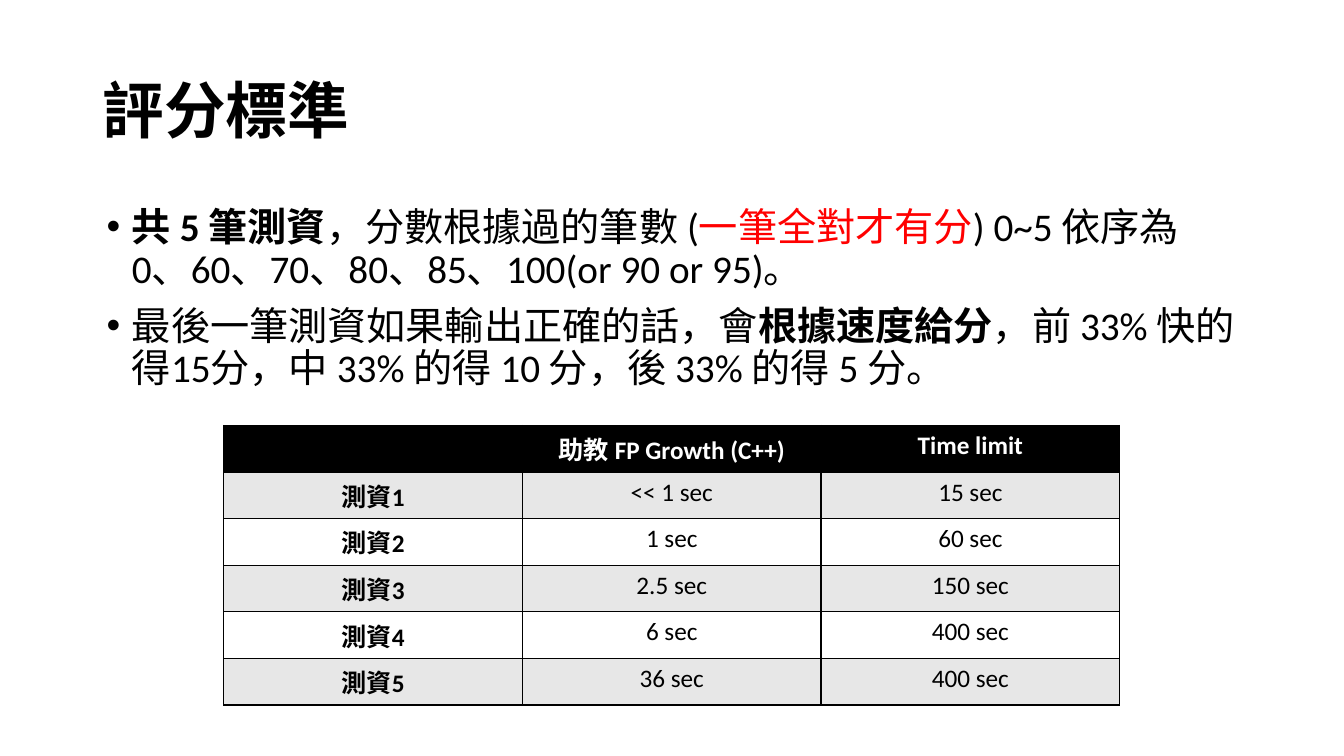
from dataclasses import dataclass

import lxml.etree
import pptx
import pptx.dml.color
import pptx.enum.text
import pptx.oxml
import pptx.oxml.ns
import pptx.util

Cm = pptx.util.Cm
Pt = pptx.util.Pt
ALIGN = pptx.enum.text.PP_ALIGN
ANCHOR = pptx.enum.text.MSO_ANCHOR
FONT = "Calibri"
COLORS = {"black": "000000", "white": "FFFFFF", "red": "FF0000", "gray": "E7E7E7"}


@dataclass
class Span:
    text: str
    bold: bool = False
    color: str = "black"


@dataclass
class Row:
    cells: tuple[str, str, str]
    fill: str
    ink: str = "black"


RULES = [
    [
        Span("共 5 筆測資", bold=True),
        Span("，分數根據過的筆數 ("),
        Span("一筆全對才有分", color="red"),
        Span(") 0~5 依序為 0、60、70、80、85、100(or 90 or 95)。"),
    ],
    [
        Span("最後一筆測資如果輸出正確的話，會"),
        Span("根據速度給分", bold=True),
        Span("，前 33% 快的得15分，中 33% 的得 10 分，後 33% 的得 5 分。"),
    ],
]
TIMES = [
    ("<< 1 sec", "15 sec"),
    ("1 sec", "60 sec"),
    ("2.5 sec", "150 sec"),
    ("6 sec", "400 sec"),
    ("36 sec", "400 sec"),
]
ROWS = [Row(("", "助教 FP Growth (C++)", "Time limit"), "black", "white")] + [
    Row((f"測資{n}", *pair), "gray" if n % 2 else "white")
    for n, pair in enumerate(TIMES, 1)
]


def tint(name: str) -> pptx.dml.color.RGBColor:
    return pptx.dml.color.RGBColor.from_string(COLORS[name])


def style(font, size: float, bold: bool, color: str) -> None:
    font.name = FONT
    font.size = Pt(size)
    font.bold = bold
    font.color.rgb = tint(color)


def place(shape, left: float, top: float, width: float, height: float) -> None:
    shape.left, shape.top = Cm(left), Cm(top)
    shape.width, shape.height = Cm(width), Cm(height)


def draw_title(shape, text: str) -> None:
    place(shape, 2.33, 1.01, 29.21, 3.68)
    frame = shape.text_frame
    frame.text = text
    frame.vertical_anchor = ANCHOR.MIDDLE
    para = frame.paragraphs[0]
    para.alignment = ALIGN.LEFT
    para.line_spacing = 0.9
    style(para.font, 44, True, "black")


def draw_rules(shape, rules: list[list[Span]]) -> None:
    place(shape, 2.43, 5.1, 29.21, 12.09)
    frame = shape.text_frame
    frame.auto_size = pptx.enum.text.MSO_AUTO_SIZE.NONE
    for i, spans in enumerate(rules):
        para = frame.add_paragraph() if i else frame.paragraphs[0]
        para.line_spacing = 0.9
        para.space_before = Pt(10)
        props = para._p.get_or_add_pPr()
        props.set("marL", str(Cm(0.64)))
        props.set("indent", str(-Cm(0.64)))
        for span in spans:
            run = para.add_run()
            run.text = span.text
            style(run.font, 28, span.bold, span.color)


def border(cell, color: str) -> None:
    props = cell._tc.get_or_add_tcPr()
    for side in ("lnL", "lnR", "lnT", "lnB"):
        line = lxml.etree.SubElement(props, pptx.oxml.ns.qn(f"a:{side}"), w=str(Pt(1)))
        fill = lxml.etree.SubElement(line, pptx.oxml.ns.qn("a:solidFill"))
        lxml.etree.SubElement(fill, pptx.oxml.ns.qn("a:srgbClr"), val=COLORS[color])


def draw_table(slide, rows: list[Row]) -> None:
    grid = slide.shapes.add_table(
        len(rows), 3, Cm(5.64), Cm(10.72), Cm(22.58), Cm(1.03 * len(rows))
    ).table
    for r, row in enumerate(rows):
        for c, text in enumerate(row.cells):
            cell = grid.cell(r, c)
            border(cell, "black")
            cell.fill.solid()
            cell.fill.fore_color.rgb = tint(row.fill)
            cell.text = text
            para = cell.text_frame.paragraphs[0]
            para.alignment = ALIGN.CENTER
            style(para.font, 18, r == 0 or c == 0, row.ink)


deck = pptx.Presentation()
deck.slide_width, deck.slide_height = Cm(33.87), Cm(19.05)
slide = deck.slides.add_slide(deck.slide_layouts[1])
title, body = slide.placeholders
draw_title(title, "評分標準")
draw_rules(body, RULES)
draw_table(slide, ROWS)
deck.save("out.pptx")
